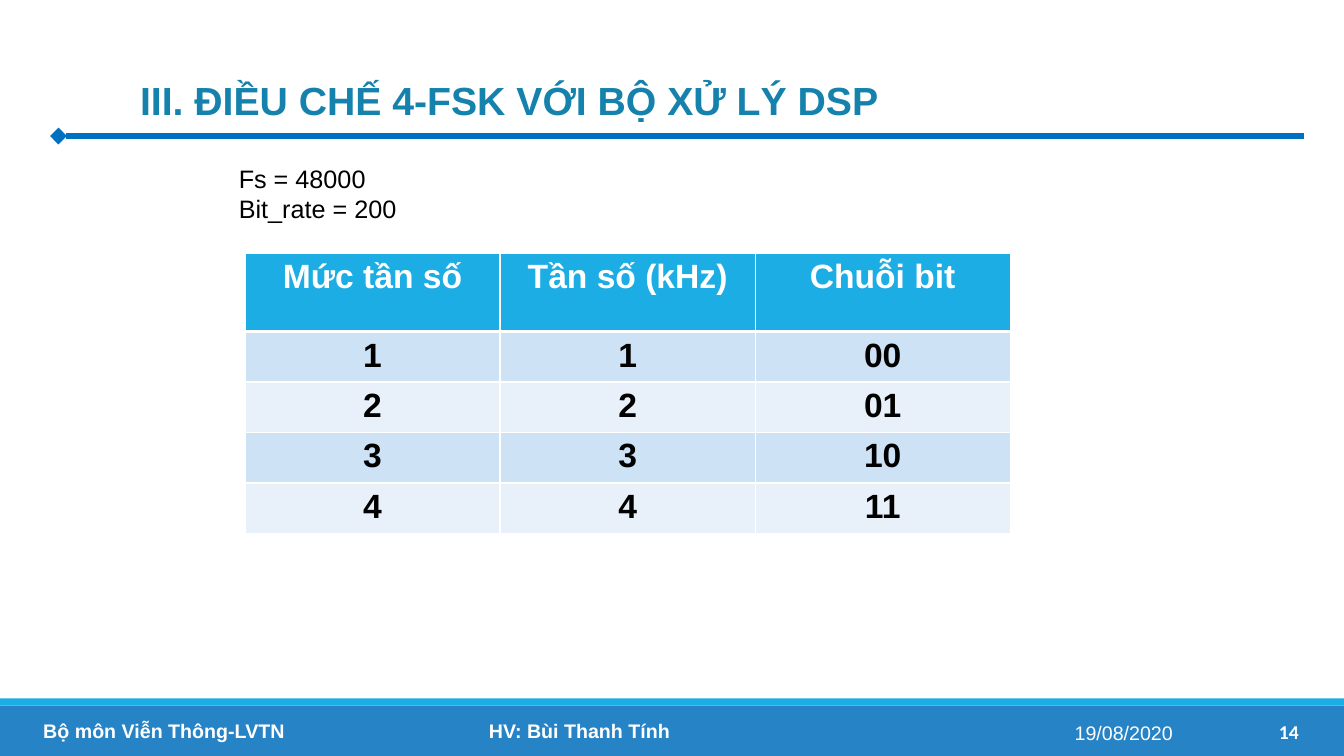
from pptx import Presentation
from pptx.dml.color import RGBColor
from pptx.enum.shapes import MSO_CONNECTOR, MSO_SHAPE
from pptx.enum.text import MSO_ANCHOR, MSO_AUTO_SIZE, PP_ALIGN
from pptx.oxml.ns import qn
from pptx.util import Inches, Pt
from lxml.etree import SubElement

COLORS = {
    "bar": "2683C6", "accent": "1CADE4", "rule": "0070C0", "title": "1482AC",
    "band_dark": "CDE3F5", "band_light": "E8F1FA",
    "white": "FFFFFF", "black": "000000",
}
ROWS = [
    ("Mức tần số", "Tần số (kHz)", "Chuỗi bit"),
    ("1", "1", "00"),
    ("2", "2", "01"),
    ("3", "3", "10"),
    ("4", "4", "11"),
]


def rgb(name):
    return RGBColor.from_string(COLORS[name])


def format_text(tf, size, color, bold=False, font="Arial", align=PP_ALIGN.LEFT):
    for p in tf.paragraphs:
        p.alignment = align
        for r in p.runs:
            r.font.name = font
            r.font.size = Pt(size)
            r.font.bold = bold
            r.font.color.rgb = rgb(color)


def add_bar(s, top, height, color):
    sp = s.shapes.add_shape(MSO_SHAPE.RECTANGLE, 0, Inches(top),
                            Inches(13.33), Inches(height))
    sp.shadow.inherit = False
    sp.fill.solid()
    sp.fill.fore_color.rgb = rgb(color)
    sp.line.fill.background()


def add_text(s, text, left, top, width, height, size, color, wrap=False, **style):
    sp = s.shapes.add_textbox(Inches(left), Inches(top), Inches(width), Inches(height))
    tf = sp.text_frame
    tf.word_wrap = wrap
    tf.text = text
    format_text(tf, size, color, **style)
    return tf


def add_title(s, text):
    title = s.shapes.title
    title.left, title.top = Inches(1.18), Inches(0.47)
    title.width, title.height = Inches(8.59), Inches(0.81)
    tf = title.text_frame
    tf.text = text
    tf.auto_size = MSO_AUTO_SIZE.NONE
    tf.vertical_anchor = MSO_ANCHOR.TOP
    tf.margin_left = Inches(0.21)
    p = tf.paragraphs[0]
    p.line_spacing = 1.5
    p.space_before, p.space_after = Pt(6), Pt(10)
    format_text(tf, 28, "title", bold=True)


def add_rule(s, left, right, y):
    line = s.shapes.add_connector(MSO_CONNECTOR.STRAIGHT, Inches(left), Inches(y),
                                  Inches(right), Inches(y))
    line.line.color.rgb = rgb("rule")
    line.line.width = Pt(4)
    SubElement(line.line._get_or_add_ln(), qn("a:headEnd"), type="diamond")
    SubElement(line._element.spPr, qn("a:effectLst"))


def set_borders(cell, bottom):
    tcPr = cell._tc.get_or_add_tcPr()
    widths = {"a:lnL": 1, "a:lnR": 1, "a:lnT": 1, "a:lnB": bottom}
    for i, (tag, width) in enumerate(widths.items()):
        ln = SubElement(tcPr, qn(tag), w=str(Pt(width)))
        fill = SubElement(ln, qn("a:solidFill"))
        SubElement(fill, qn("a:srgbClr"), val=COLORS["white"])
        tcPr.insert(i, ln)  # borders come before the cell fill


def add_frequency_table(s):
    table = s.shapes.add_table(len(ROWS), len(ROWS[0]), Inches(2.43), Inches(2.51),
                               Inches(7.59), Inches(2.78)).table
    for col in table.columns:
        col.width = Inches(2.53)
    for i, values in enumerate(ROWS):
        header = i == 0
        table.rows[i].height = Inches(0.78 if header else 0.5)
        fill = "accent" if header else "band_dark" if i % 2 else "band_light"
        for j, value in enumerate(values):
            cell = table.cell(i, j)
            cell.text = value
            cell.fill.solid()
            cell.fill.fore_color.rgb = rgb(fill)
            format_text(cell.text_frame, 24, "white" if header else "black",
                        bold=True, align=PP_ALIGN.CENTER)
            set_borders(cell, 3 if header else 1)


def main():
    prs = Presentation()
    prs.slide_width, prs.slide_height = Inches(13.33), Inches(7.5)
    s = prs.slides.add_slide(prs.slide_layouts[5])

    # Footer
    add_bar(s, 7, 0.5, "bar")
    add_bar(s, 6.93, 0.07, "accent")
    add_text(s, "Bộ môn Viễn Thông-LVTN", 0.33, 7.08, 2.61, 0.34, 14, "white", bold=True)
    add_text(s, "HV: Bùi Thanh Tính", 4.75, 7.08, 2.01, 0.34, 14, "white", bold=True)
    add_text(s, "19/08/2020", 10.56, 7.1, 1.18, 0.34, 14, "white")
    number = add_text(s, "14", 11.55, 7.06, 1.43, 0.4, 14, "white", wrap=True,
                      bold=True, font="Calibri", align=PP_ALIGN.RIGHT)
    number.vertical_anchor = MSO_ANCHOR.MIDDLE

    # Heading
    add_rule(s, 0.58, 12.93, 1.35)
    add_title(s, "III. ĐIỀU CHẾ 4-FSK VỚI BỘ XỬ LÝ DSP")

    # Parameters and table
    add_frequency_table(s)
    add_text(s, "Fs = 48000\nBit_rate = 200", 2.27, 1.57, 1.78, 0.71, 18, "black")

    prs.save("out.pptx")


if __name__ == "__main__":
    main()
